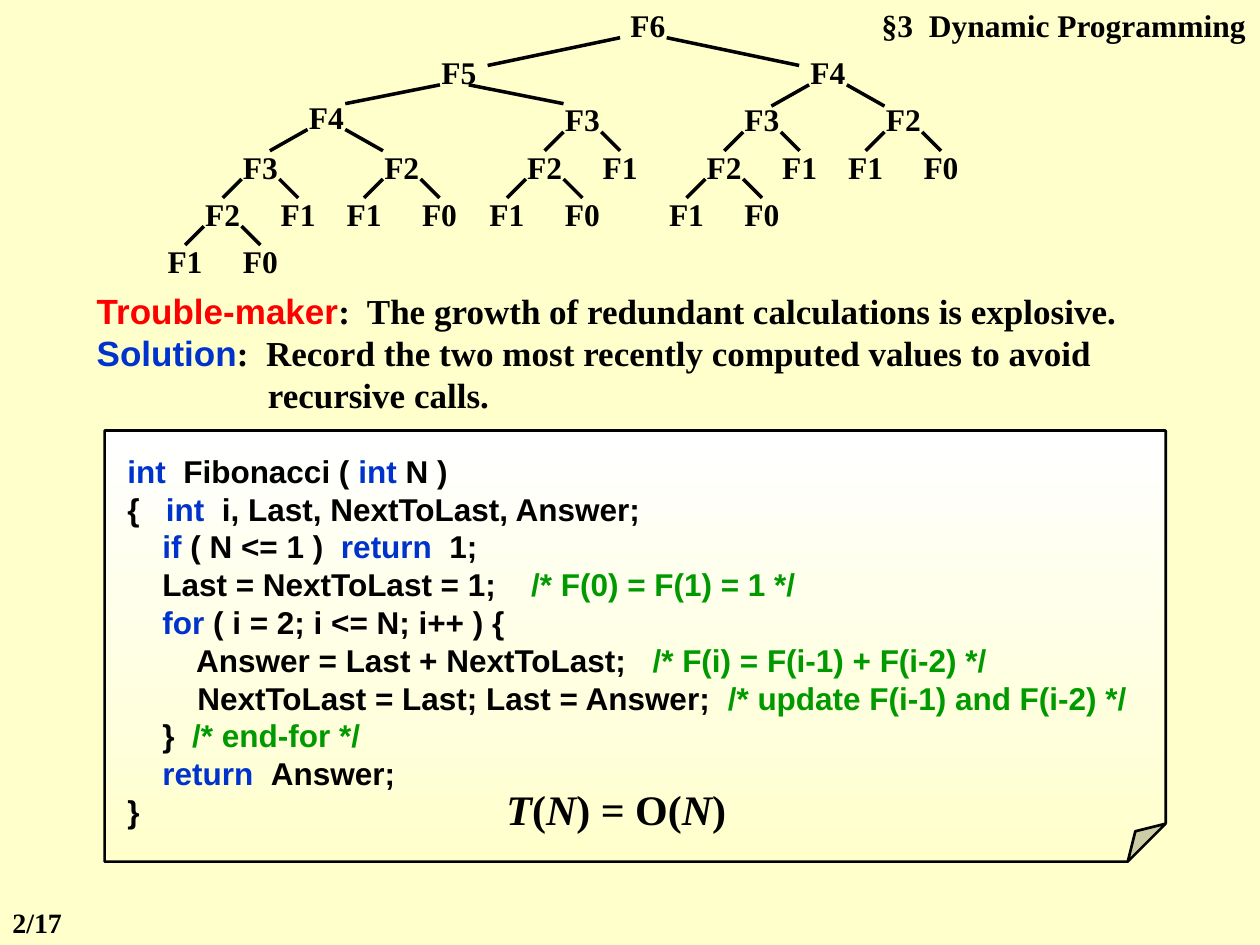
from dataclasses import dataclass

from lxml import etree
from pptx import Presentation
from pptx.dml.color import RGBColor
from pptx.enum.shapes import MSO_CONNECTOR as Link, MSO_SHAPE as Preset
from pptx.enum.text import MSO_ANCHOR as Anchor, PP_ALIGN as Align
from pptx.oxml.ns import qn
from pptx.util import Cm, Pt


@dataclass(frozen=True)
class Theme:
    paper: RGBColor = RGBColor(0xFF, 0xFF, 0xCC)
    white: RGBColor = RGBColor(0xFF, 0xFF, 0xFF)
    ink: RGBColor = RGBColor(0, 0, 0)
    keyword: RGBColor = RGBColor(0, 0x33, 0xCC)
    comment: RGBColor = RGBColor(0, 0x99, 0)
    alert: RGBColor = RGBColor(0xFF, 0, 0)
    serif: str = "Times New Roman"
    sans: str = "Arial"
    page_size: int = 16
    label_size: int = 18
    body_size: int = 20
    formula_size: int = 24
    leading: float = 1.2


theme = Theme()


def write(paragraph, runs, size, align=Align.LEFT):
    """Add runs of (text, font, colour, italic) to a paragraph."""
    paragraph.alignment = align
    paragraph.line_spacing = Pt(size * theme.leading)
    paragraph.space_before = Pt(0)
    for text, face, colour, italic in runs:
        run = paragraph.add_run()
        run.text = text
        run.font.name = face
        run.font.size = Pt(size)
        run.font.bold = True
        run.font.italic = italic
        run.font.color.rgb = colour


def add_text(left, top, width, height, runs, size, align=Align.LEFT):
    """Place a one-paragraph text box, measured in centimetres."""
    box = slide.shapes.add_textbox(Cm(left), Cm(top), Cm(width), Cm(height))
    box.text_frame.word_wrap = True
    paragraph = box.text_frame.paragraphs[0]
    write(paragraph, runs, size, align)
    return paragraph


deck = Presentation()
deck.slide_width, deck.slide_height = Cm(25.4), Cm(19.05)
slide = deck.slides.add_slide(deck.slide_layouts[5])
slide.background.fill.solid()
slide.background.fill.fore_color.rgb = theme.paper

# Section heading
heading = slide.shapes.title
heading.left, heading.top, heading.width, heading.height = Cm(16.51), Cm(0), Cm(8.86), Cm(1.02)
heading.text_frame.vertical_anchor = Anchor.TOP
write(heading.text_frame.paragraphs[0],
      [("§3  Dynamic Programming", theme.serif, theme.ink, False)],
      theme.label_size, Align.RIGHT)

# Call tree: F(n) branches into F(n-1) and F(n-2)
LEVEL, NODE_WIDTH, NODE_HEIGHT, EDGE_TOP = 0.95, 1.52, 1.02, 0.76
child_offsets = {6: (-3.81, 3.63), 5: (-2.67, 2.49), 4: (-1.33, 1.52),
                 3: (-0.76, 0.76), 2: (-0.76, 0.76)}
# Per n: (start x, end x) of both edges, then the end y
edges = {6: ((-0.56, -3.23), (0.38, 3.05), 1.32),
         5: ((-0.38, -2.29), (0.2, 2.11), 1.14),
         4: ((-0.38, -1.14), (0.38, 1.14), 1.19),
         3: ((-0.38, -0.76), (0.38, 0.76), 1.14),
         2: ((-0.38, -0.76), (0.38, 0.76), 1.14)}
pending = [(6, 13.06, 0)]
while pending:
    n, x, depth = pending.pop()
    lift = 0.05 if (n, depth) == (4, 2) else 0
    y = depth * LEVEL - lift
    add_text(x - NODE_WIDTH / 2, y, NODE_WIDTH, NODE_HEIGHT,
             [(f"F{n}", theme.serif, theme.ink, False)], theme.label_size, Align.CENTER)
    if n < 2:
        continue
    *branches, edge_bottom = edges[n]
    for step, (start, end) in enumerate(branches):
        edge = slide.shapes.add_connector(Link.STRAIGHT, Cm(x + start), Cm(y + EDGE_TOP),
                                          Cm(x + end), Cm(y + edge_bottom))
        edge.line.color.rgb = theme.ink
        edge.line.width = Pt(2)
        etree.SubElement(edge._element.spPr, qn("a:effectLst"))
        pending.append((n - 1 - step, x + child_offsets[n][step], depth + 1))

# Problem and solution
add_text(1.7, 5.72, 21.59, 1.12,
         [("Trouble-maker", theme.sans, theme.alert, False),
          (":  The growth of redundant calculations is explosive.",
           theme.serif, theme.ink, False)], theme.body_size)
solution = add_text(1.7, 6.56, 21.39, 1.96,
                    [("Solution", theme.sans, theme.keyword, False),
                     (":  Record the two most recently computed values to avoid recursive calls.",
                      theme.serif, theme.ink, False)], theme.body_size)
hanging = solution._p.get_or_add_pPr()
hanging.set("marL", str(Cm(3.45)))
hanging.set("indent", str(-Cm(3.45)))

# Code sheet
sheet = slide.shapes.add_shape(Preset.FOLDED_CORNER, Cm(2.11), Cm(8.68), Cm(21.39), Cm(8.69))
sheet.shadow.inherit = False
fold = sheet._element.spPr.find(qn("a:prstGeom")).get_or_add_avLst()
etree.SubElement(fold, qn("a:gd"), name="adj", fmla="val 8800")
sheet.fill.gradient()
sheet.fill.gradient_angle = 270
for stop, position, colour in zip(sheet.fill.gradient_stops, (0, 1), (theme.white, theme.paper)):
    stop.position = position
    stop.color.rgb = colour
sheet.line.color.rgb = theme.ink
sheet.line.width = Pt(1.5)
code = sheet.text_frame
code.word_wrap = False
code.vertical_anchor = Anchor.TOP
code.margin_left, code.margin_top = Cm(0.46), Cm(0.43)

plain, keyword, comment = theme.ink, theme.keyword, theme.comment
listing = [
    [("int", keyword), ("  Fibonacci ( ", plain), ("int", keyword), (" N )", plain)],
    [("{   ", plain), ("int", keyword), ("  i, Last, NextToLast, Answer;", plain)],
    [("    ", plain), ("if", keyword), (" ( N <= 1 )  ", plain), ("return", keyword),
     ("  1;", plain)],
    [("    Last = NextToLast = 1;    ", plain), ("/* F(0) = F(1) = 1 */", comment)],
    [("    ", plain), ("for", keyword), (" ( i = 2; i <= N; i++ ) {", plain)],
    [("        Answer = Last + NextToLast;   ", plain),
     ("/* F(i) = F(i-1) + F(i-2) */", comment)],
    [("        NextToLast = Last; Last = Answer;  ", plain),
     ("/* update F(i-1) and F(i-2) */", comment)],
    [("    }  ", plain), ("/* end-for */", comment)],
    [("    ", plain), ("return  ", keyword), ("Answer;", plain)],
    [("}", plain)],
]
for number, tokens in enumerate(listing):
    code_line = code.add_paragraph() if number else code.paragraphs[0]
    write(code_line, [(text, theme.sans, colour, False) for text, colour in tokens],
          theme.label_size)

# Running time
formula = ["T", "(", "N", ") = O(", "N", ")"]
add_text(9.96, 15.67, 5.51, 1.27,
         [(part, theme.serif, theme.ink, part in "TN") for part in formula],
         theme.formula_size)

# Page number
add_text(0, 18.14, 2.49, 0.94, [("2/17", theme.serif, theme.ink, False)], theme.page_size)

deck.save("out.pptx")
